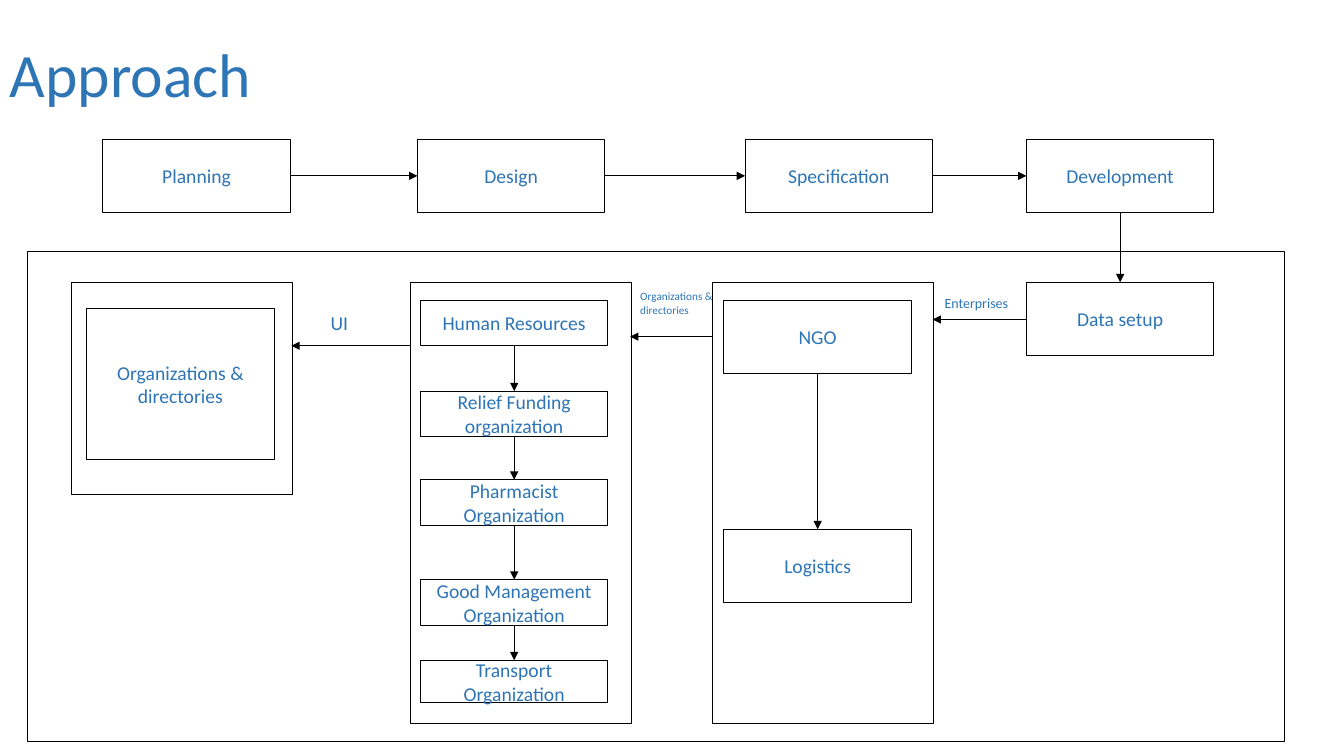
from itertools import pairwise

from lxml.etree import SubElement
from pptx import Presentation
from pptx.dml.color import RGBColor
from pptx.enum.shapes import MSO_CONNECTOR, MSO_SHAPE
from pptx.enum.text import MSO_ANCHOR, MSO_AUTO_SIZE, PP_ALIGN
from pptx.oxml.ns import qn
from pptx.util import Inches, Pt

BLACK = RGBColor(0x00, 0x00, 0x00)
BLUE = RGBColor(0x2E, 0x75, 0xB6)
TOP, LEFT, BOTTOM, RIGHT = range(4)
STEP_WIDTH, STEP_HEIGHT = 1.86, 0.73
COLUMN_WIDTH, COLUMN_TOP = 2.19, 2.8


def write_text(frame, text, size, **format_values):
    """Put one styled paragraph into a text frame."""
    values = {"vertical_anchor": MSO_ANCHOR.MIDDLE, "word_wrap": True} | format_values
    for name, value in values.items():
        setattr(frame, name, value)
    frame.text = text
    font = frame.paragraphs[0].runs[0].font
    for name, value in {"name": "Calibri", "size": Pt(size)}.items():
        setattr(font, name, value)
    font.color.rgb = BLUE


def add_label(slide, text, left, top, width, height, size, **format_values):
    """Add free-standing text."""
    label = slide.shapes.add_textbox(*map(Inches, (left, top, width, height)))
    write_text(label.text_frame, text, size, **format_values)


def style_outline(line):
    """Give a line the thin black stroke."""
    line.color.rgb = BLACK
    line.width = Pt(0.75)


def add_outline(slide, preset, left, top, width, height):
    """Add an unfilled box with a thin black border."""
    outline = slide.shapes.add_shape(preset, *map(Inches, (left, top, width, height)))
    outline.shadow.inherit = False
    outline.fill.background()
    style_outline(outline.line)
    return outline


def add_step(slide, text, left, top, height=STEP_HEIGHT):
    """Add a process box with centred text."""
    step = add_outline(slide, MSO_SHAPE.FLOWCHART_PROCESS, left, top, STEP_WIDTH, height)
    write_text(step.text_frame, text, 14)
    step.text_frame.paragraphs[0].alignment = PP_ALIGN.CENTER
    return step


def add_container(slide, left, top, width, height, preset=MSO_SHAPE.RECTANGLE):
    """Add a group border with a soft shadow."""
    container = add_outline(slide, preset, left, top, width, height)
    effects = container._element.spPr.find(qn("a:effectLst"))
    shadow = SubElement(effects, qn("a:innerShdw"), blurRad=str(Pt(5)),
                        dist=str(Pt(2)), dir=str(245 * 60000))
    color = SubElement(shadow, qn("a:srgbClr"), val=str(BLACK))
    SubElement(color, qn("a:alpha"), val="50000")


def add_arrow(slide, start_x, start_y, end_x, end_y):
    """Add a straight arrow between two points in inches."""
    arrow = slide.shapes.add_connector(
        MSO_CONNECTOR.STRAIGHT, *map(Inches, (start_x, start_y, end_x, end_y)))
    style_outline(arrow.line)
    SubElement(arrow.line._get_or_add_ln(), qn("a:tailEnd"), type="triangle")
    SubElement(arrow._element.spPr, qn("a:effectLst"))
    return arrow


def link_steps(slide, steps, exit_site, entry_site):
    """Join consecutive steps with attached arrows."""
    for source, target in pairwise(steps):
        arrow = add_arrow(slide, 0, 0, 0, 0)
        arrow.begin_connect(source, exit_site)
        arrow.end_connect(target, entry_site)


def main():
    """Build the approach slide."""
    presentation = Presentation()
    presentation.slide_width, presentation.slide_height = Inches(13.33), Inches(7.5)
    slide = presentation.slides.add_slide(presentation.slide_layouts[6])
    add_label(slide, "Approach", 0, 0, 9.92, 1.45, 44)

    add_container(slide, 0.27, 2.5, 12.47, 4.86, MSO_SHAPE.FLOWCHART_PROCESS)
    for left, height in ((7.07, 4.38), (4.07, 4.38), (0.71, 2.11)):
        add_container(slide, left, COLUMN_TOP, COLUMN_WIDTH, height)

    phases = [add_step(slide, text, left, 1.38) for text, left in (
        ("Planning", 1.02), ("Design", 4.14),
        ("Specification", 7.39), ("Development", 10.18))]
    link_steps(slide, phases, RIGHT, LEFT)

    database = add_step(slide, "Data setup", 10.18, COLUMN_TOP)
    link_steps(slide, (phases[-1], database), BOTTOM, TOP)

    enterprises = [add_step(slide, text, 7.18, top)
                   for text, top in (("NGO", 2.98), ("Logistics", 5.25))]
    link_steps(slide, enterprises, BOTTOM, TOP)

    organizations = [add_step(slide, text, 4.17, top, height) for text, top, height in (
        ("Human Resources", 2.98, 0.45),
        ("Relief Funding organization", 3.88, 0.45),
        ("Pharmacist Organization", 4.76, 0.45),
        ("Good Management Organization", 5.75, 0.46),
        ("Transport Organization", 6.55, 0.42))]
    link_steps(slide, organizations, BOTTOM, TOP)

    add_step(slide, "Organizations & directories", 0.86, 3.06, 1.5)

    for start, end, height in ((10.18, 9.25, 3.17), (7.07, 6.25, 3.34), (4.07, 2.89, 3.43)):
        add_arrow(slide, start, height, end, height)

    growing = {"auto_size": MSO_AUTO_SIZE.SHAPE_TO_FIT_TEXT}
    unwrapped = growing | {"word_wrap": False}
    add_label(slide, "UI", 3.18, 3.03, 0.38, 0.34, 14, **unwrapped)
    add_label(slide, "Organizations & directories", 6.01, 2.82, 1.41, 0.37, 8,
              margin_left=Inches(0.34), margin_right=Inches(0.3), **growing)
    add_label(slide, "Enterprises", 9.27, 2.87, 1.1, 0.27, 10, **unwrapped)

    presentation.save("out.pptx")


if __name__ == "__main__":
    main()
